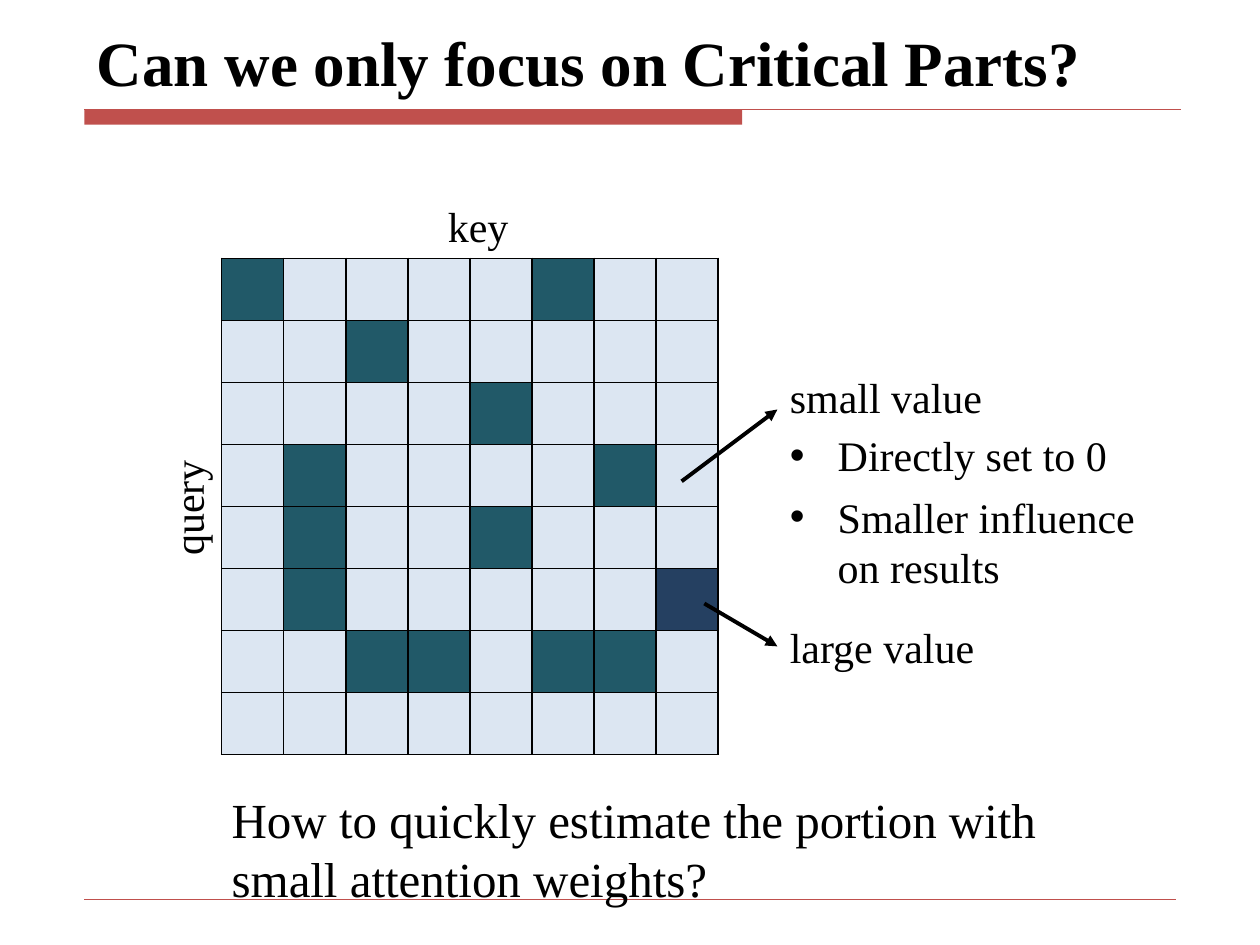
from lxml.etree import SubElement
from pptx import Presentation
from pptx.dml.color import RGBColor
from pptx.enum.shapes import MSO_CONNECTOR, MSO_SHAPE
from pptx.enum.text import MSO_ANCHOR, PP_ALIGN
from pptx.oxml.ns import qn
from pptx.util import Inches, Pt

BLACK = RGBColor(0x00, 0x00, 0x00)
RED = RGBColor(0xC0, 0x50, 0x4D)
PALE = RGBColor(0xDC, 0xE6, 0xF2)
TEAL = RGBColor(0x21, 0x59, 0x68)
NAVY = RGBColor(0x25, 0x40, 0x61)

CELL_COLORS = {".": PALE, "x": TEAL, "L": NAVY}
ATTENTION = [
    "x....x..",
    "..x.....",
    "....x...",
    ".x....x.",
    ".x..x...",
    ".x.....L",
    "..xx.xx.",
    "........",
]
BODY = {"name": "Times New Roman", "size": Pt(24), "bold": False}
TITLE = BODY | {"size": Pt(36), "bold": True}
QUESTION = BODY | {"size": Pt(28)}


def add_text(page, box, text, style=BODY, align=PP_ALIGN.LEFT,
             anchor=MSO_ANCHOR.TOP, bullet=False):
    """Add one wrapped paragraph in the given box and return its shape."""
    shape = page.shapes.add_textbox(*map(Inches, box))
    frame = shape.text_frame
    frame.word_wrap = True
    frame.vertical_anchor = anchor
    para = frame.paragraphs[0]
    para.alignment = align
    if bullet:
        props = para._p.get_or_add_pPr()
        props.set("marL", str(Inches(0.38)))
        props.set("indent", str(-Inches(0.38)))
        SubElement(props, qn("a:buFont"), typeface="Arial")
        SubElement(props, qn("a:buChar"), char="•")
    span = para.add_run()
    span.text = text
    for name, value in style.items():
        setattr(span.font, name, value)
    span.font.color.rgb = BLACK
    return shape


def add_line(page, start, end, color, width, arrow=False):
    """Draw a straight line, with an arrowhead at its end if asked."""
    line = page.shapes.add_connector(
        MSO_CONNECTOR.STRAIGHT, *map(Inches, (*start, *end)))
    line.line.color.rgb = color
    line.line.width = Pt(width)
    if arrow:
        SubElement(line.line._get_or_add_ln(), qn("a:tailEnd"), type="triangle")
    SubElement(line._element.spPr, qn("a:effectLst"))


def add_header(page, box):
    """Place the title above a rule with a thick bar covering 60% of it."""
    left, top, width, height = box
    rule = top + height
    add_text(page, (left, 0.21, width, 0.63), "Can we only focus on Critical Parts?",
             TITLE, anchor=MSO_ANCHOR.BOTTOM)
    bar = page.shapes.add_shape(
        MSO_SHAPE.RECTANGLE, *map(Inches, (left, rule, width * 0.6, 0.12)))
    bar.shadow.inherit = False
    bar.fill.solid()
    bar.fill.fore_color.rgb = RED
    bar.line.fill.background()
    add_line(page, (left, rule), (left + width, rule), RED, 0.75)


def add_cell_borders(cell):
    """Give all four sides of a cell a thin black border."""
    props = cell._tc.get_or_add_tcPr()
    for side in ("lnL", "lnR", "lnT", "lnB"):
        border = SubElement(props, qn(f"a:{side}"), w=str(Pt(1)))
        fill = SubElement(border, qn("a:solidFill"))
        SubElement(fill, qn("a:srgbClr"), val=str(BLACK))


def add_attention_grid(page, box):
    """Place the attention table with its axis labels."""
    left, top, width, height = box
    count = len(ATTENTION)
    table = page.shapes.add_table(count, count, *map(Inches, box)).table
    table.first_row = table.horz_banding = False
    for column in table.columns:
        column.width = Inches(width / count)
    for r, marks in enumerate(ATTENTION):
        table.rows[r].height = Inches(height / count)
        for c, mark in enumerate(marks):
            cell = table.cell(r, c)
            add_cell_borders(cell)
            cell.fill.solid()
            cell.fill.fore_color.rgb = CELL_COLORS[mark]
    add_text(page, (left + 0.92, top - 0.51, 2.23, 0.5), "key", align=PP_ALIGN.CENTER)
    query = add_text(page, (left - 1.39, top + 1.73, 2.23, 0.5), "query",
                     align=PP_ALIGN.CENTER)
    query.rotation = 270


def add_callouts(page, box):
    """Place the notes on small and large values with their arrows."""
    left, top, width, height = box
    add_text(page, (left, top, 1.9, 0.5), "small value")
    add_text(page, (left, top + 0.46, width, 0.5), "Directly set to 0", bullet=True)
    add_text(page, (left, top + 0.95, width, 0.91), "Smaller influence on results",
             bullet=True)
    add_text(page, (left, top + height - 0.5, 1.9, 0.5), "large value")
    add_line(page, (5.59, 4.79), (left, 5.13), BLACK, 2.25, arrow=True)
    add_line(page, (5.41, 3.82), (left, 3.25), BLACK, 2.25, arrow=True)


def add_question(page, box):
    """Place the closing question over the footer rule."""
    add_line(page, (0.67, 7.14), (9.33, 7.14), RED, 0.25)
    add_text(page, box, "How to quickly estimate the portion with small attention weights?",
             QUESTION)


def main():
    """Build the slide and save it."""
    deck = Presentation()
    deck.slide_width, deck.slide_height = Inches(10), Inches(7.5)
    page = deck.slides.add_slide(deck.slide_layouts[6])
    add_header(page, (0.67, 0.21, 8.7, 0.66))
    add_attention_grid(page, (1.76, 2.05, 3.94, 3.94))
    add_callouts(page, (6.17, 2.9, 2.95, 2.48))
    add_question(page, (1.74, 6.22, 7.29, 1.04))
    deck.save("out.pptx")


if __name__ == "__main__":
    main()
